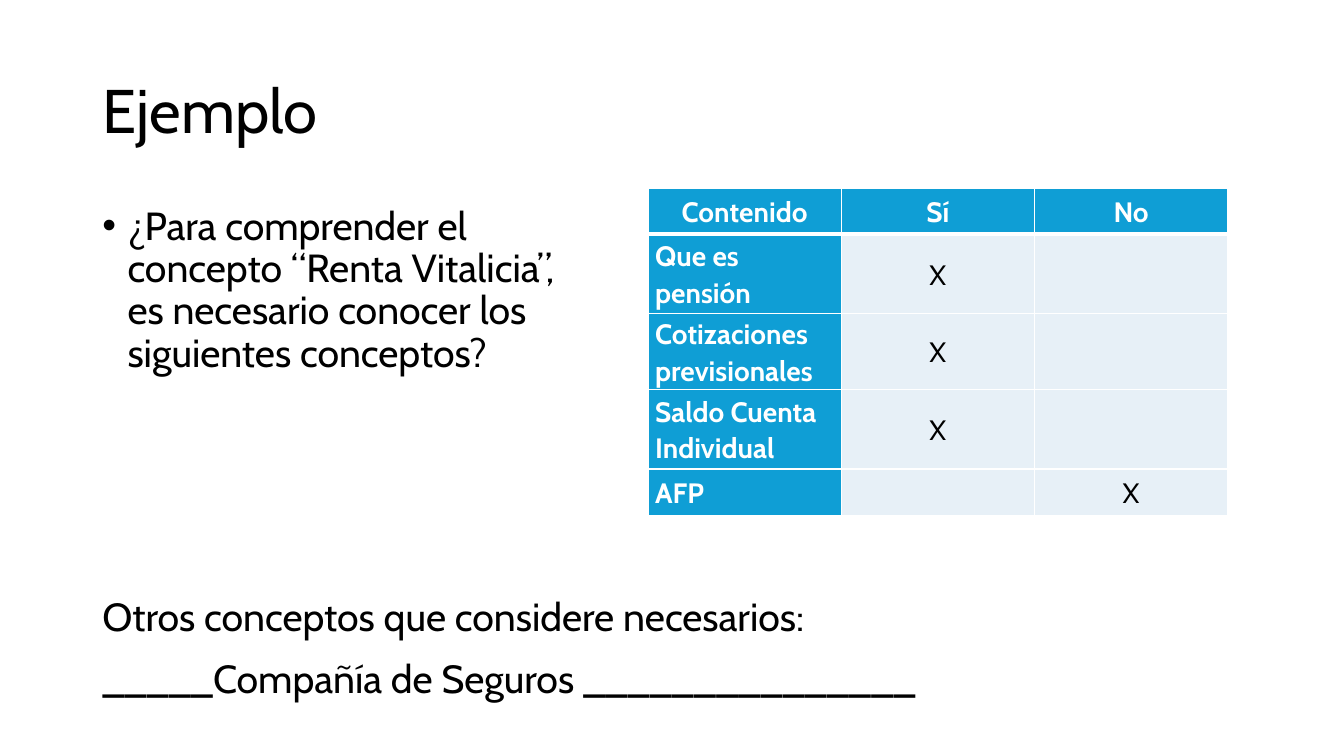
from lxml import etree
from pptx import Presentation
from pptx.dml.color import RGBColor
from pptx.enum.text import MSO_ANCHOR, PP_ALIGN
from pptx.oxml.ns import qn
from pptx.util import Cm, Pt

TITLE = "Ejemplo"
QUESTION = ("¿Para comprender el concepto “Renta Vitalicia”, "
            "es necesario conocer los siguientes conceptos?")
ROWS = [
    ("Contenido", "Sí", "No"),
    ("Que es pensión", "X", ""),
    ("Cotizaciones previsionales", "X", ""),
    ("Saldo Cuenta Individual", "X", ""),
    ("AFP", "", "X"),
]
ROW_HEIGHTS = [1.16, 2, 1.92, 2, 1.18]
COL_WIDTH = 4.87
OTHERS = ["Otros conceptos que considere necesarios:",
          "_____Compañía de Seguros _______________"]

FONT = "Cabin"
BLACK = RGBColor(0x00, 0x00, 0x00)
WHITE = RGBColor(0xFF, 0xFF, 0xFF)
BLUE = RGBColor(0x0F, 0x9E, 0xD5)
PALE = RGBColor(0xE7, 0xF0, 0xF7)
LEFT, CENTER = PP_ALIGN.LEFT, PP_ALIGN.CENTER
MIDDLE, TOP = MSO_ANCHOR.MIDDLE, MSO_ANCHOR.TOP
MARGIN = 2.33


def format_paragraph(p, size, color=BLACK, bold=False, align=LEFT,
                     line=1.07, before=0, after=0):
    p.font.name, p.font.size, p.font.bold = FONT, Pt(size), bold
    p.font.color.rgb = color
    p.alignment, p.line_spacing = align, line
    p.space_before, p.space_after = Pt(before), Pt(after)


def add_bullet(p):
    pPr = p._p.get_or_add_pPr()
    pPr.set("marL", str(Cm(0.635)))
    pPr.set("indent", str(-Cm(0.635)))
    for tag, name, value in (("a:buFont", "typeface", "Arial"),
                             ("a:buChar", "char", "•")):
        bullet = etree.Element(qn(tag))
        bullet.set(name, value)
        pPr.insert_element_before(bullet, "a:tabLst", "a:defRPr", "a:extLst")


def set_borders(cell, is_header, below_header):
    widths = {"L": 1, "R": 1, "T": 3 if below_header else 1, "B": 3 if is_header else 1}
    for side, width in widths.items():
        ln = etree.SubElement(cell._tc.get_or_add_tcPr(), qn(f"a:ln{side}"), w=str(Pt(width)))
        fill = etree.SubElement(ln, qn("a:solidFill"))
        etree.SubElement(fill, qn("a:srgbClr"), val=str(WHITE))


def add_text(s, left, top, width, height):
    tf = s.shapes.add_textbox(Cm(left), Cm(top), Cm(width), Cm(height)).text_frame
    tf.word_wrap = True
    tf.vertical_anchor = TOP
    return tf


def add_concept_table(s, left, top):
    table = s.shapes.add_table(len(ROWS), len(ROWS[0]), Cm(left), Cm(top),
                               Cm(COL_WIDTH * len(ROWS[0])), Cm(sum(ROW_HEIGHTS))).table
    for column in table.columns:
        column.width = Cm(COL_WIDTH)
    for i, (texts, height) in enumerate(zip(ROWS, ROW_HEIGHTS)):
        table.rows[i].height = Cm(height)
        for j, text in enumerate(texts):
            cell = table.cell(i, j)
            heading = i == 0 or j == 0
            set_borders(cell, i == 0, i == 1)
            cell.fill.solid()
            cell.fill.fore_color.rgb = BLUE if heading else PALE
            cell.vertical_anchor = MIDDLE
            cell.margin_left = cell.margin_right = Cm(0.18)
            cell.margin_top = cell.margin_bottom = 0
            cell.text = text
            format_paragraph(cell.text_frame.paragraphs[0], 20, WHITE if heading else BLACK,
                             heading, LEFT if i and j == 0 else CENTER, after=8)


def main():
    prs = Presentation()
    prs.slide_width, prs.slide_height = Cm(33.87), Cm(19.05)
    s = prs.slides.add_slide(prs.slide_layouts[5])

    title = s.shapes.title
    title.left, title.top, title.width, title.height = Cm(MARGIN), Cm(1.01), Cm(29.21), Cm(3.68)
    title.text_frame.text = TITLE
    title.text_frame.vertical_anchor = MIDDLE
    format_paragraph(title.text_frame.paragraphs[0], 44, line=0.9)

    p = add_text(s, MARGIN, 5.07, 12.5, 12.09).paragraphs[0]
    p.text = QUESTION
    format_paragraph(p, 28, line=0.9, before=10)
    add_bullet(p)

    add_concept_table(s, 16.33, 4.74)

    tf = add_text(s, MARGIN, 14.73, 28.47, 3.05)
    tf.text = "\n".join(OTHERS)
    for p in tf.paragraphs:
        format_paragraph(p, 28, after=8)

    prs.save("out.pptx")


if __name__ == "__main__":
    main()
